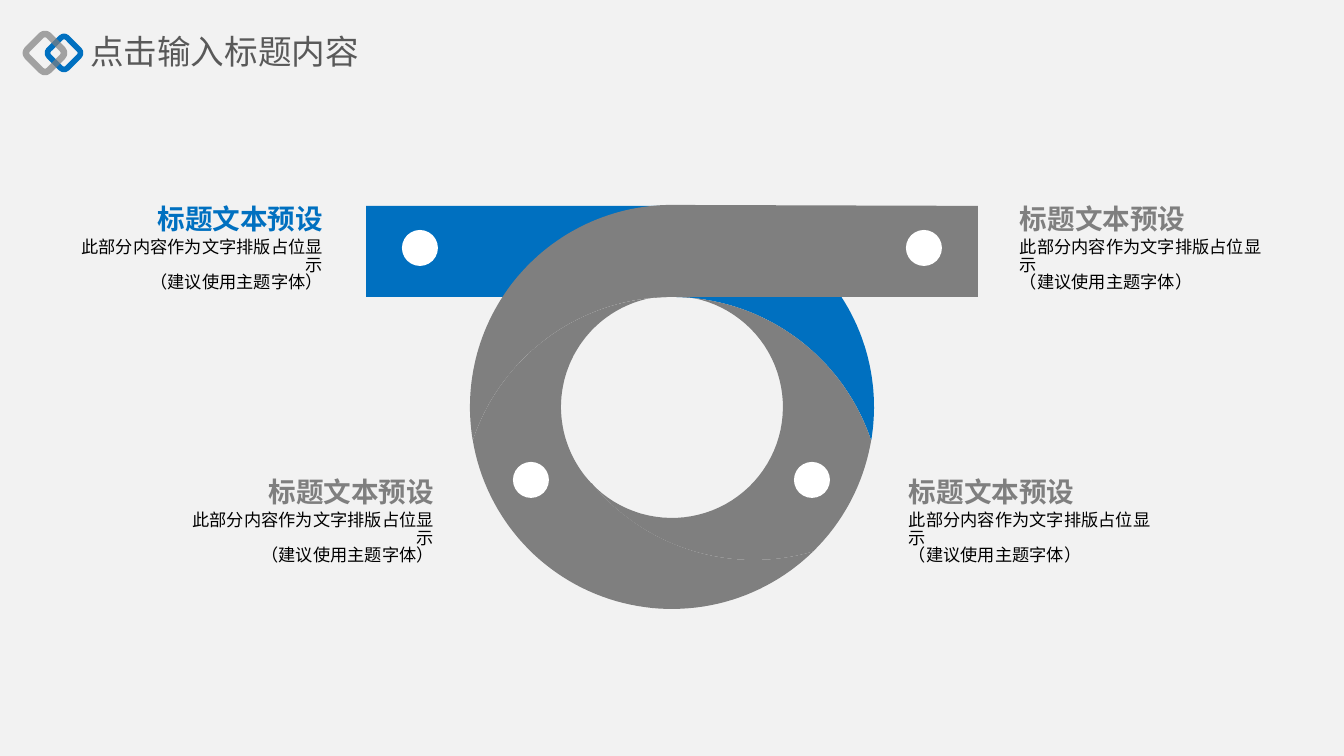
from dataclasses import dataclass
from math import cos, radians, sin

from lxml.etree import SubElement
from pptx import Presentation
from pptx.dml.color import RGBColor
from pptx.enum.shapes import MSO_SHAPE
from pptx.enum.text import MSO_ANCHOR, PP_ALIGN
from pptx.oxml.ns import qn
from pptx.util import Emu, Pt

PX = 914400 / 134.4
OUTER = (672, 407, 202)
HOLE = (672, 407, 111)
SWEEP = (672, 507, 210)
LOWER_SWEEP = (754, 350, 210)
BAR_LEFT, BAR_RIGHT, BAR_TOP, BAR_BOTTOM = 366, 978, 206, 297
BODY_LINES = ("此部分内容作为文字排版占位显示", "（建议使用主题字体）")


@dataclass(frozen=True)
class Theme:
    """Colours and type of the slide."""
    font: str = "Noto Sans CJK SC"
    background: str = "F2F2F2"
    accent: str = "0070C0"
    grey: str = "7F7F7F"
    emblem_grey: str = "808080"
    heading: str = "595959"
    body: str = "000000"
    icon: str = "FFFFFF"
    heading_size: float = 18
    title_size: float = 14.8
    body_size: float = 9.2
    line_spacing: float = 0.85


THEME = Theme()


def px(length):
    """Turn px into EMU."""
    return Emu(round(length * PX))


def paint(shape, color):
    """Give a shape a plain fill without line or shadow."""
    shape.shadow.inherit = False
    shape.fill.solid()
    shape.fill.fore_color.rgb = RGBColor.from_string(color)
    shape.line.fill.background()


def add_text(page, lines, left, top, width, height, *, size, color, bold=False,
             align=PP_ALIGN.LEFT, anchor=MSO_ANCHOR.TOP, inset=11):
    """Add a text box holding one paragraph with line breaks."""
    box = page.shapes.add_textbox(px(left), px(top), px(width), px(height))
    frame = box.text_frame
    frame.word_wrap = True
    frame.vertical_anchor = anchor
    frame.margin_left = frame.margin_right = px(inset)
    frame.margin_top = frame.margin_bottom = 0
    para = frame.paragraphs[0]
    para.alignment = align
    para.line_spacing = THEME.line_spacing
    for index, line in enumerate(lines):
        if index:
            para.add_line_break()
        span = para.add_run()
        span.text = line
        span.font.name = THEME.font
        span.font.size = Pt(size)
        span.font.bold = bold
        span.font.color.rgb = RGBColor.from_string(color)
        east_asian = SubElement(span.font._element, qn("a:ea"))
        east_asian.set("typeface", THEME.font)


def add_caption(page, left, top, width, *, align, color):
    """Add a bold title with its description below."""
    add_text(page, ["标题文本预设"], left, top, width, 27, align=align,
             size=THEME.title_size, color=color, bold=True)
    add_text(page, BODY_LINES, left, top + 27, width, 64, align=align,
             size=THEME.body_size, color=THEME.body, anchor=MSO_ANCHOR.MIDDLE)


def arc(circle, start, end, steps=60):
    """List points on a circle between two angles in degrees."""
    x, y, radius = circle
    angles = [radians(start + (end - start) * step / steps) for step in range(steps + 1)]
    return [(x + radius * cos(angle), y + radius * sin(angle)) for angle in angles]


def add_band(page, points, color):
    """Add a closed, filled outline."""
    first, *rest = [(px(x), px(y)) for x, y in points]
    builder = page.shapes.build_freeform(*first, scale=1.0)
    builder.add_line_segments(rest, close=True)
    paint(builder.convert_to_shape(), color)


def add_knot(page):
    """Add the four interlaced bands of the ring."""
    add_band(page, [(BAR_LEFT, BAR_TOP), (749, BAR_TOP), (749, BAR_BOTTOM),
                    *arc(OUTER, -33, 9.4), *arc(SWEEP, -18.6, -90),
                    (BAR_LEFT, BAR_BOTTOM)], THEME.accent)
    add_band(page, [*arc(SWEEP, -90, -18.6), *arc(OUTER, 9.4, 45.6),
                    *arc(LOWER_SWEEP, 73.6, 140.6), *arc(HOLE, 136.5, -90)], THEME.grey)
    add_band(page, [*arc(HOLE, 270, 136.5), *arc(LOWER_SWEEP, 140.6, 73.6),
                    *arc(OUTER, 45.6, 170.6), *arc(SWEEP, 198.6, 270)], THEME.grey)
    add_band(page, [*arc(OUTER, 270, 170.6), *arc(SWEEP, 198.6, 270),
                    (BAR_RIGHT, BAR_BOTTOM), (BAR_RIGHT, BAR_TOP)], THEME.grey)


def add_icon(page, x, y, size=36):
    """Add a plain disc around a centre."""
    disc = page.shapes.add_shape(MSO_SHAPE.OVAL, px(x - size / 2), px(y - size / 2),
                                 px(size), px(size))
    paint(disc, THEME.icon)


def add_diamond(page, x, y, size, *, color, weight, opacity=100):
    """Add a rounded diamond frame around a centre."""
    frame = page.shapes.add_shape(MSO_SHAPE.ROUNDED_RECTANGLE, px(x - size / 2),
                                  px(y - size / 2), px(size), px(size))
    frame.shadow.inherit = False
    frame.rotation = 45
    frame.fill.background()
    frame.line.width = Pt(weight)
    frame.line.color.rgb = RGBColor.from_string(color)
    if opacity < 100:
        tone = next(frame.line._ln.iter(qn("a:srgbClr")))
        SubElement(tone, qn("a:alpha")).set("val", str(opacity * 1000))


def main():
    """Build and save the slide."""
    deck = Presentation()
    deck.slide_width, deck.slide_height = px(1344), px(756)
    page = deck.slides.add_slide(deck.slide_layouts[6])
    page.background.fill.solid()
    page.background.fill.fore_color.rgb = RGBColor.from_string(THEME.background)

    for left, top, width, align, color in (
        (898, 480, 271, PP_ALIGN.LEFT, THEME.grey),
        (180, 480, 265, PP_ALIGN.RIGHT, THEME.grey),
        (1009, 207, 271, PP_ALIGN.LEFT, THEME.grey),
        (69, 207, 265, PP_ALIGN.RIGHT, THEME.accent),
    ):
        add_caption(page, left, top, width, align=align, color=color)

    add_knot(page)
    for x, y in ((924, 248), (420, 248), (812, 480), (531, 480)):
        add_icon(page, x, y)

    add_text(page, ["点击输入标题内容"], 90, 26, 313, 56, size=THEME.heading_size,
             color=THEME.heading, anchor=MSO_ANCHOR.MIDDLE, inset=0)
    add_diamond(page, 64, 53, 26, color=THEME.accent, weight=3)
    add_diamond(page, 45, 53, 30, color=THEME.emblem_grey, weight=3.5, opacity=69)
    deck.save("out.pptx")


if __name__ == "__main__":
    main()
